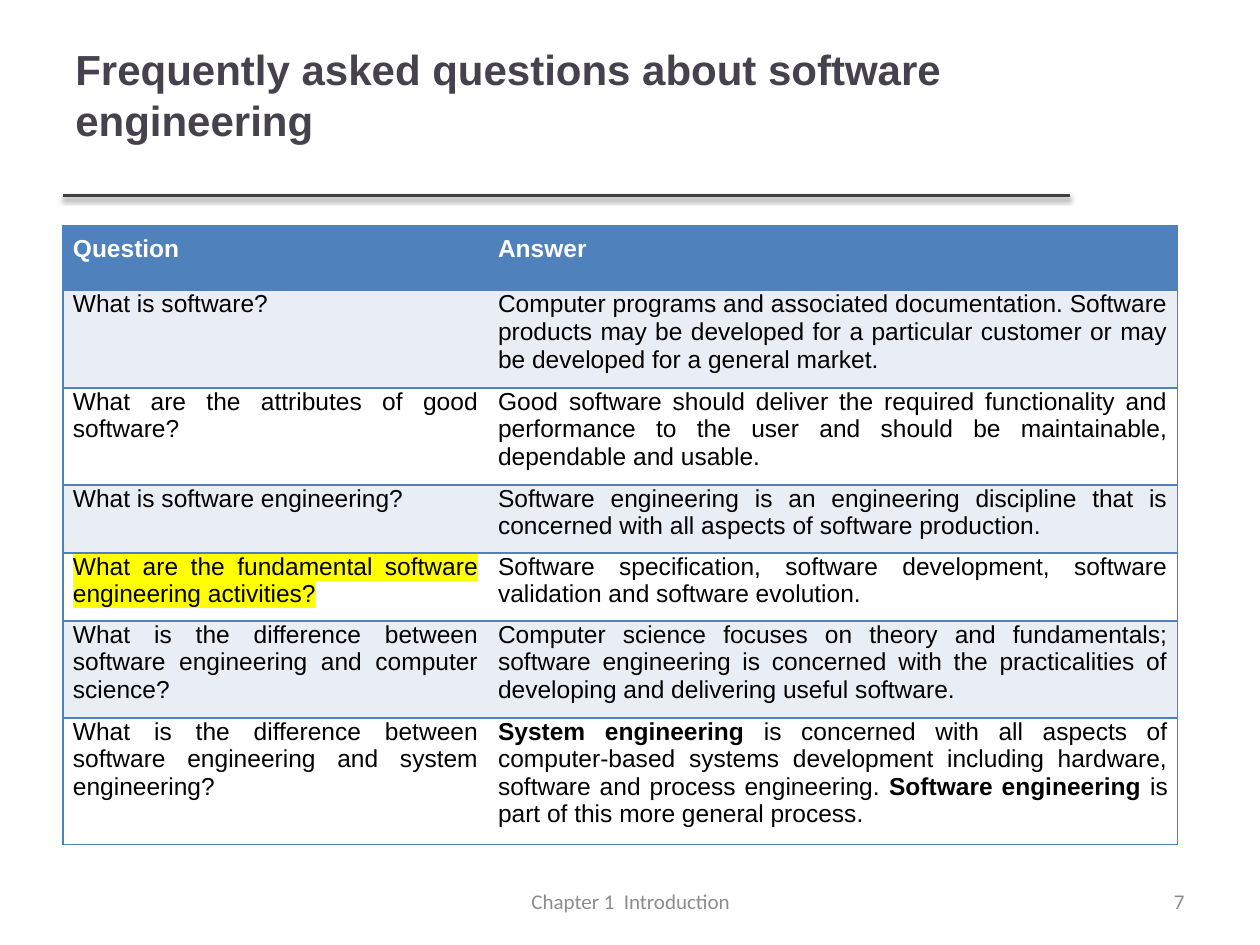
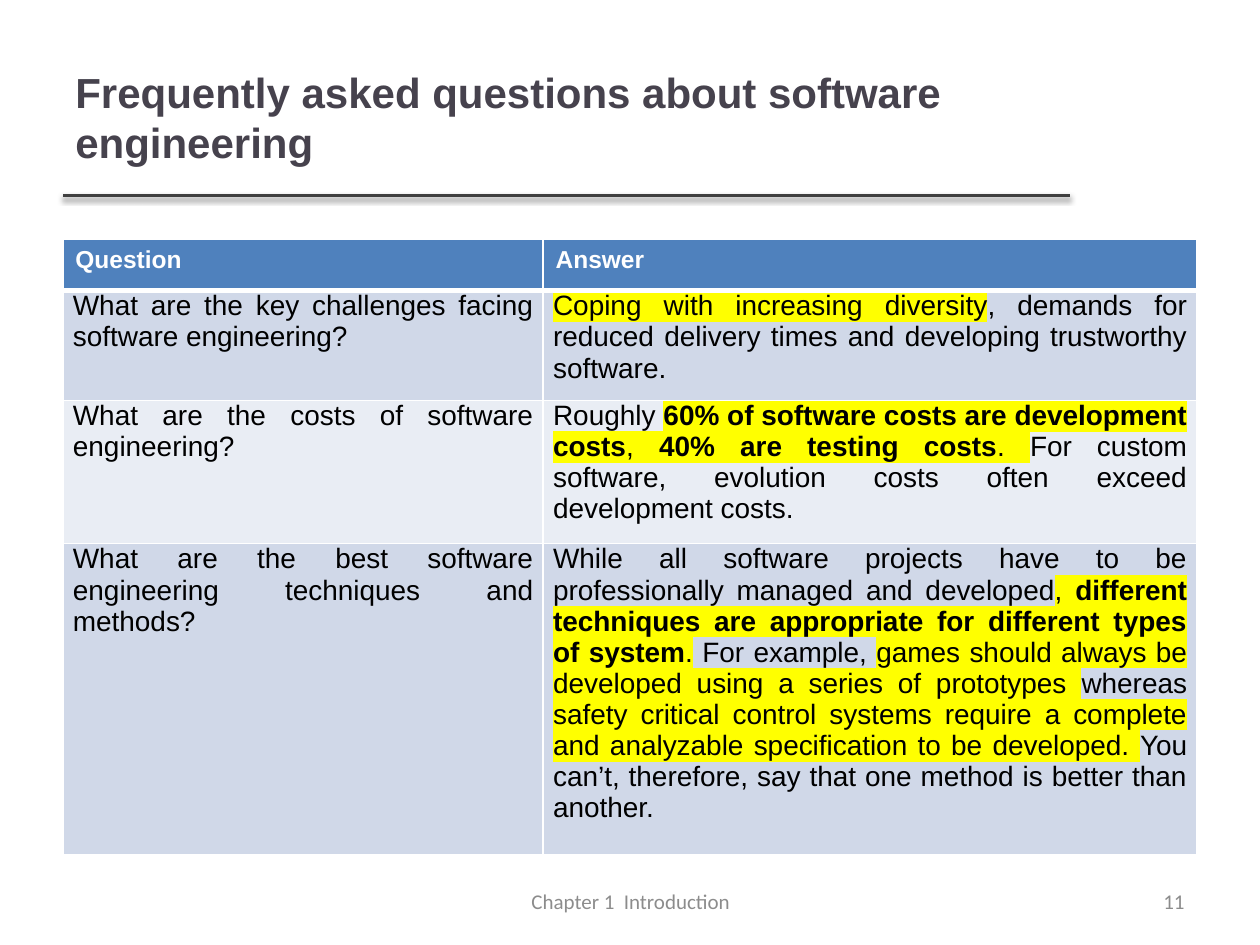
"""Build two slides of questions and answers about software engineering."""
import pptx
import pptx.dml.color
import pptx.enum.shapes
import pptx.enum.text
import pptx.oxml
import pptx.oxml.ns
import pptx.util

Cm, Pt = pptx.util.Cm, pptx.util.Pt
RGB = pptx.dml.color.RGBColor
ALIGN = pptx.enum.text.PP_ALIGN
MIDDLE = pptx.enum.text.MSO_ANCHOR.MIDDLE

WHITE = RGB(0xFF, 0xFF, 0xFF)
BLACK = RGB(0x00, 0x00, 0x00)
BLUE = RGB(0x4F, 0x81, 0xBD)
PALE = RGB(0xE9, 0xED, 0xF4)
MIST = RGB(0xD0, 0xD8, 0xE8)
YELLOW = RGB(0xFF, 0xFF, 0x00)
INK = RGB(0x46, 0x42, 0x4D)
RULE = RGB(0x40, 0x40, 0x40)
GREY = RGB(0x8C, 0x8C, 0x8C)

TITLE = "Frequently asked questions about software engineering"
HEADS = ("Question", "Answer")
LEFT = 1.27
SIDES = ("left", "top", "right", "bottom")
TIGHT = (0.2, 0, 0.2, 0.18)

TITLE_FONT = {"size": Pt(24), "name": "Arial", "bold": True}
FOOT_FONT = {"size": Pt(12), "name": "Calibri", "bold": False}
HEAD_FONT = {"size": Pt(14), "name": "Arial", "bold": True}

BASICS = [
    ("What is software?",
     "Computer programs and associated documentation. Software products may be "
     "developed for a particular customer or may be developed for a general market."),
    ("What are the attributes of good software?",
     "Good software should deliver the required functionality and performance to "
     "the user and should be maintainable, dependable and usable."),
    ("What is software engineering?",
     "Software engineering is an engineering discipline that is concerned with all "
     "aspects of software production."),
    ([("What are the fundamental software engineering activities?", "h")],
     "Software specification, software development, software validation and "
     "software evolution."),
    ("What is the difference between software engineering and computer science?",
     "Computer science focuses on theory and fundamentals; software engineering is "
     "concerned with the practicalities of developing and delivering useful software."),
    ("What is the difference between software engineering and system engineering?",
     [("System engineering", "b"),
      (" is concerned with all aspects of computer-based systems development "
       "including hardware, software and process engineering. ", ""),
      ("Software engineering ", "b"),
      ("is part of this more general process.", "")]),
]

ISSUES = [
    ("What are the key challenges facing software engineering?",
     [("Coping with increasing diversity", "h"),
      (", demands for reduced delivery times and developing trustworthy software.", "")]),
    ("What are the costs of software engineering?",
     [("Roughly ", ""),
      ("60% of software costs are development costs", "bh"),
      (", ", "h"),
      ("40% are testing costs", "bh"),
      (". ", "h"),
      ("For custom software, evolution costs often exceed development costs.", "")]),
    ("What are the best software engineering techniques and methods?",
     [("While all software projects have to be professionally managed and developed", ""),
      (", ", "h"),
      ("different techniques are appropriate for different types of system", "bh"),
      (".", "h"),
      (" For example, ", ""),
      ("games should always be developed using a series of prototypes ", "h"),
      ("whereas ", ""),
      ("safety critical control systems require a complete and analyzable "
       "specification to be developed. ", "h"),
      ("You can’t, therefore, say that one method is better than another.", "")]),
]


def make(xml):
    """Parse one drawing element."""
    return pptx.oxml.parse_xml(xml.replace(" ", f" {pptx.oxml.ns.nsdecls('a')} ", 1))


def add_run(para, text, look, color, mark=False):
    """Add a run with its font, and a yellow mark if asked."""
    run = para.add_run()
    run.text = text
    for key, value in look.items():
        setattr(run.font, key, value)
    run.font.color.rgb = color
    if mark:
        fill = run.font.fill._xPr.find(pptx.oxml.ns.qn("a:solidFill"))
        fill.addnext(make(f'<a:highlight ><a:srgbClr val="{YELLOW}"/></a:highlight>'))


def add_text(slide, box, text, look, color, align=None, low=0.13):
    """Add a centred-height text box; low is its bottom margin."""
    frame = slide.shapes.add_textbox(*map(Cm, box)).text_frame
    for key, value in {"word_wrap": True, "vertical_anchor": MIDDLE,
                       "margin_bottom": Cm(low)}.items():
        setattr(frame, key, value)
    frame.paragraphs[0].alignment = align
    add_run(frame.paragraphs[0], text, look, color)


def add_rule(slide, left, top, width):
    """Draw the shaded rule under the title."""
    line = slide.shapes.add_connector(
        pptx.enum.shapes.MSO_CONNECTOR.STRAIGHT,
        Cm(left), Cm(top), Cm(left + width), Cm(top))
    line.line.color.rgb = RULE
    line.line.width = Pt(2)
    line._element.spPr.append(make(
        f'<a:effectLst ><a:outerShdw blurRad="{Pt(3.1)}" dist="{Pt(1.6)}" dir="5400000" '
        'rotWithShape="0"><a:srgbClr val="000000"><a:alpha val="38000"/>'
        '</a:srgbClr></a:outerShdw></a:effectLst>'))


def add_frame(slide, page, box, low=0.13):
    """Add the title, rule and footers of a slide."""
    add_rule(slide, LEFT, 3.94, 20.29)
    add_text(slide, box, TITLE, TITLE_FONT, INK, low=low)
    add_text(slide, (8.69, 17.65, 8.05, 1.02), "Chapter 1  Introduction",
             FOOT_FONT, GREY, ALIGN.CENTER)
    add_text(slide, (18.21, 17.65, 5.92, 1.02), page, FOOT_FONT, GREY, ALIGN.RIGHT)


def set_edges(cell, edges):
    """Set cell borders from (colour, points) by side; None hides one."""
    props = cell._tc.get_or_add_tcPr()
    for spot, side in enumerate(("L", "R", "T", "B")):
        edge = edges.get(side)
        if edge:
            color, size = edge
            xml = (f'<a:ln{side} w="{Pt(size)}"><a:solidFill><a:srgbClr val="{color}"/>'
                   f'</a:solidFill></a:ln{side}>')
        else:
            xml = f'<a:ln{side} w="0"><a:noFill/></a:ln{side}>'
        props.insert(spot, make(xml))


def fill_cell(cell, parts, look, color, fill, pads, align):
    """Write styled parts into a filled cell."""
    for side, pad in zip(SIDES, pads):
        setattr(cell, f"margin_{side}", Cm(pad))
    cell.fill.solid()
    cell.fill.fore_color.rgb = fill
    para = cell.text_frame.paragraphs[0]
    para.alignment = align
    for text, style in [(parts, "")] if isinstance(parts, str) else parts:
        bold = look["bold"] or "b" in style
        add_run(para, text, {**look, "bold": bold}, color, "h" in style)


def add_grid(slide, top, cols, highs, rows, kit):
    """Add a table of questions and answers in the looks of kit."""
    shape = slide.shapes.add_table(len(highs), len(cols), Cm(LEFT), Cm(top),
                                   Cm(sum(cols)), Cm(sum(highs)))
    table = shape.table
    for col, width in zip(table.columns, cols):
        col.width = Cm(width)
    for row, high in zip(table.rows, highs):
        row.height = Cm(high)
    body = {**HEAD_FONT, "size": Pt(kit["size"]), "bold": False}
    for i, row in enumerate([HEADS, *rows]):
        for j, parts in enumerate(row):
            cell = table.cell(i, j)
            if i == 0:
                fill_cell(cell, parts, HEAD_FONT, WHITE, BLUE, kit["pads"], kit["align"])
            else:
                fill_cell(cell, parts, body, BLACK, kit["bands"][(i - 1) % 2],
                          TIGHT, ALIGN.JUSTIFY)
            set_edges(cell, kit["edges"](i, j))


def line_edges(row, col):
    """Give blue edges with none between the columns."""
    return dict.fromkeys("LTB" if col == 0 else "TRB", (BLUE, 1))


def grid_edges(row, col):
    """Give white edges, thick under the header."""
    edges = dict.fromkeys("LTRB", (WHITE, 1))
    if row < 2:
        edges["B" if row == 0 else "T"] = (WHITE, 3)
    return edges


def add_basics(slide):
    """Build the slide of basic questions."""
    add_frame(slide, "7", (LEFT, 0.76, 21.36, 3.28), low=1.12)
    add_grid(slide, 4.55, (8.57, 13.9), (1.31, 1.85, 1.85, 1.31, 1.31, 1.85, 2.41), BASICS,
             {"size": 14, "pads": (0.2,) * 4, "align": ALIGN.JUSTIFY,
              "bands": (PALE, WHITE), "edges": line_edges})


def add_issues(slide):
    """Build the slide of challenges, costs and methods."""
    add_frame(slide, "11", (LEFT, 0.76, 20.27, 3.18))
    add_grid(slide, 4.83, (9.68, 13.18), (1.03, 2.06, 2.7, 5.83), ISSUES,
             {"size": 16, "pads": (0.25, 0.13, 0.25, 0.13), "align": ALIGN.LEFT,
              "bands": (MIST, PALE), "edges": grid_edges})


def main():
    """Build and save the deck."""
    deck = pptx.Presentation()
    deck.slide_width, deck.slide_height = Cm(25.4), Cm(19.05)
    for build in (add_basics, add_issues):
        build(deck.slides.add_slide(deck.slide_layouts[6]))
    deck.save("out.pptx")


if __name__ == "__main__":
    main()
